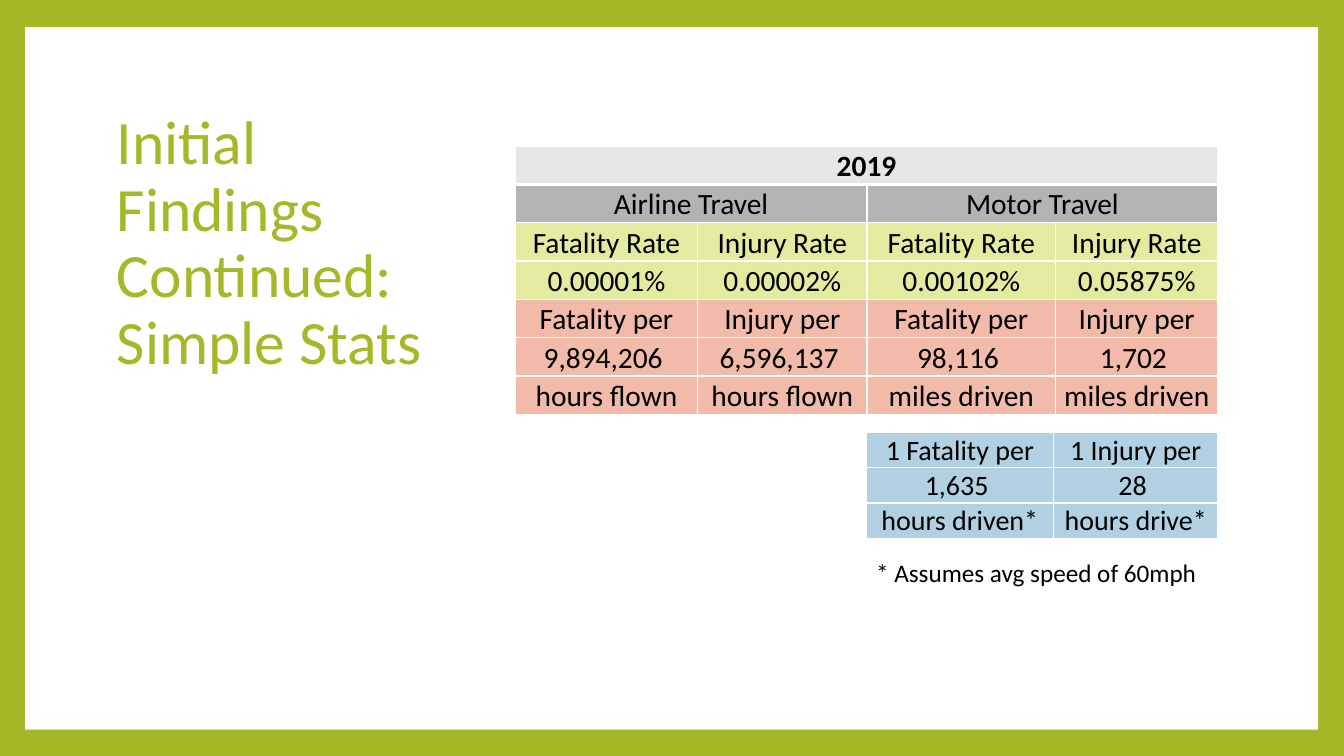
"""Build the 2019 travel risk slide with its two tables."""
from lxml import etree
from pptx import Presentation
from pptx import util as u
from pptx.dml.color import RGBColor
from pptx.enum import shapes, text
from pptx.oxml import ns

LIME = RGBColor(0xA6, 0xB7, 0x27)
WHITE = RGBColor(0xFF, 0xFF, 0xFF)
BLACK = RGBColor(0, 0, 0)
PALE = RGBColor(0xE6, 0xE6, 0xE6)
GREY = RGBColor(0xB3, 0xB3, 0xB5)
GREEN = RGBColor(0xE2, 0xEB, 0xA0)
CORAL = RGBColor(0xF2, 0xBA, 0xA9)
BLUE = RGBColor(0xB1, 0xD1, 0xE3)

TITLE = "Initial Findings Continued: Simple Stats"
NOTE = "* Assumes avg speed of 60mph"
RATES = [
    (PALE, ["2019"]),
    (GREY, ["Airline Travel", "Motor Travel"]),
    (GREEN, ["Fatality Rate", "Injury Rate", "Fatality Rate", "Injury Rate"]),
    (GREEN, ["0.00001%", "0.00002%", "0.00102%", "0.05875%"]),
    (CORAL, ["Fatality per", "Injury per", "Fatality per", "Injury per"]),
    (CORAL, ["9,894,206 ", "6,596,137 ", "98,116 ", "1,702 "]),
    (CORAL, [" hours flown ", " hours flown ", "miles driven", "miles driven"]),
]
HOURS = [
    (BLUE, ["1 Fatality per", "1 Injury per"]),
    (BLUE, ["1,635 ", "28 "]),
    (BLUE, ["hours driven*", "hours drive*"]),
]


def write(frame, words, size, color=BLACK, bold=False, align=None, space=None):
    para = frame.paragraphs[0]
    para.alignment = align
    para.line_spacing = space
    run = para.add_run()
    run.text = words
    font = run.font
    font.name, font.size, font.bold = "Calibri", u.Pt(size), bold
    font.color.rgb = color


def add_box(slide, area, words, size, **form):
    frame = slide.shapes.add_textbox(*map(u.Inches, area)).text_frame
    frame.word_wrap = True
    write(frame, words, size, **form)


def edge(cell, widths):
    props = cell._tc.get_or_add_tcPr()
    for spot, (side, width) in enumerate(zip("LRTB", widths)):
        line = etree.Element(ns.qn("a:ln" + side), w=str(u.Pt(width)))
        fill = etree.SubElement(line, ns.qn("a:solidFill"))
        etree.SubElement(fill, ns.qn("a:srgbClr"), val=str(WHITE))
        props.insert(spot, line)


def add_grid(slide, left, top, cols, high, rows, size, inset, head=False):
    area = (left, top, sum(cols), high * len(rows))
    grid = slide.shapes.add_table(len(rows), len(cols), *map(u.Inches, area)).table
    grid.first_row = head
    grid.horz_banding = False
    for col, wide in zip(grid.columns, cols):
        col.width = u.Inches(wide)
    for r, (color, words) in enumerate(rows):
        grid.rows[r].height = u.Inches(high)
        span = len(cols) // len(words)
        for c in range(len(cols)):
            cell = grid.cell(r, c)
            cell.fill.solid()
            cell.fill.fore_color.rgb = color
            over = 3 if head and r == 1 else 1
            under = 3 if head and r == 0 else 1
            edge(cell, (1, 1, over, under))
        for c, word in enumerate(words):
            cell = grid.cell(r, c * span)
            if span > 1:
                cell.merge(grid.cell(r, c * span + span - 1))
            cell.vertical_anchor = text.MSO_ANCHOR.BOTTOM
            cell.margin_left = cell.margin_right = cell.margin_top = u.Inches(inset)
            cell.margin_bottom = 0
            write(cell.text_frame, word, size, bold=head and r == 0,
                  align=text.PP_ALIGN.CENTER)


def main():
    deck = Presentation()
    deck.slide_width, deck.slide_height = u.Inches(13.33), u.Inches(7.5)
    slide = deck.slides.add_slide(deck.slide_layouts[6])
    back = slide.background.fill
    back.solid()
    back.fore_color.rgb = LIME
    panel = slide.shapes.add_shape(shapes.MSO_SHAPE.RECTANGLE,
                                   *map(u.Inches, (0.25, 0.27, 12.82, 6.97)))
    panel.shadow.inherit = False
    panel.fill.solid()
    panel.fill.fore_color.rgb = WHITE
    panel.line.fill.background()
    add_box(slide, (1.06, 1.06, 3.66, 2.86), TITLE, 44, color=LIME, space=0.9)
    add_grid(slide, 5.11, 1.45, (1.81, 1.68, 1.87, 1.61), 0.38, RATES, 21, 0.02, head=True)
    add_grid(slide, 8.59, 4.29, (1.86, 1.63), 0.35, HOURS, 20, 0.01)
    add_box(slide, (8.59, 5.48, 3.49, 0.4), NOTE, 18)
    deck.save("out.pptx")


if __name__ == "__main__":
    main()
